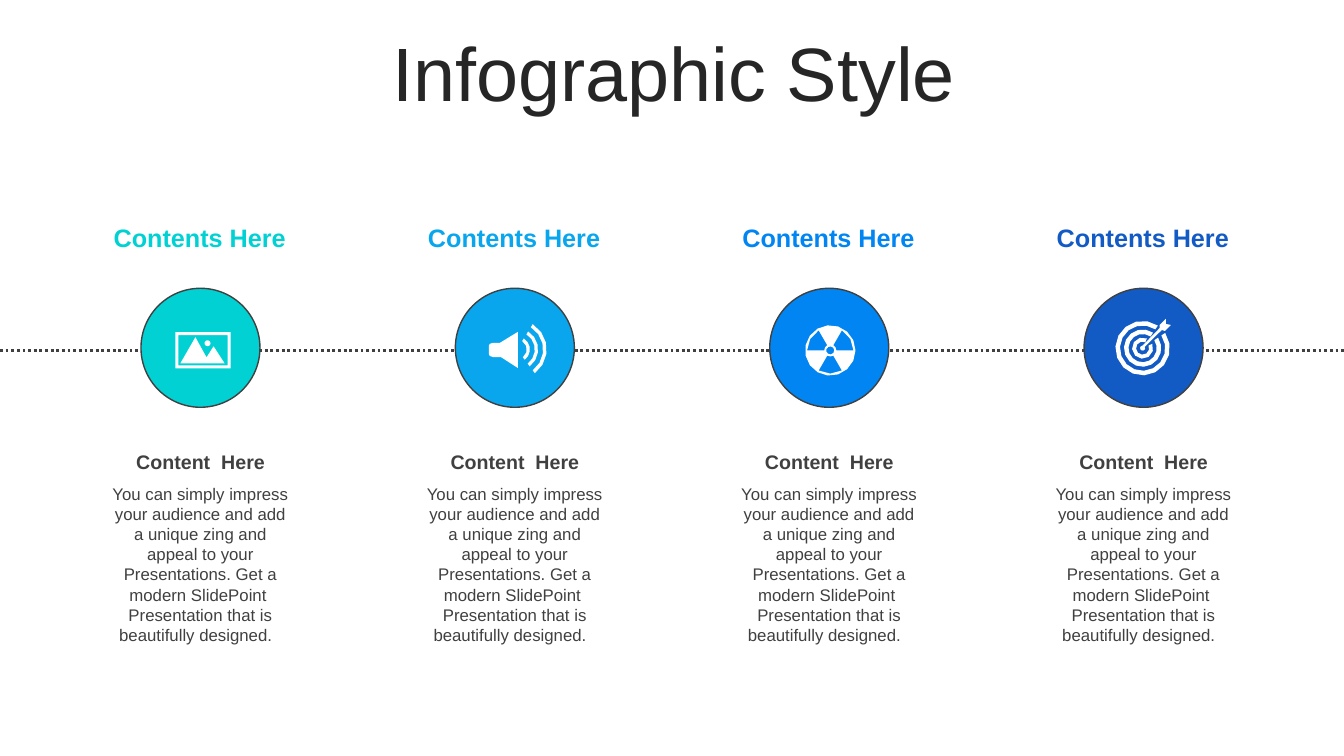
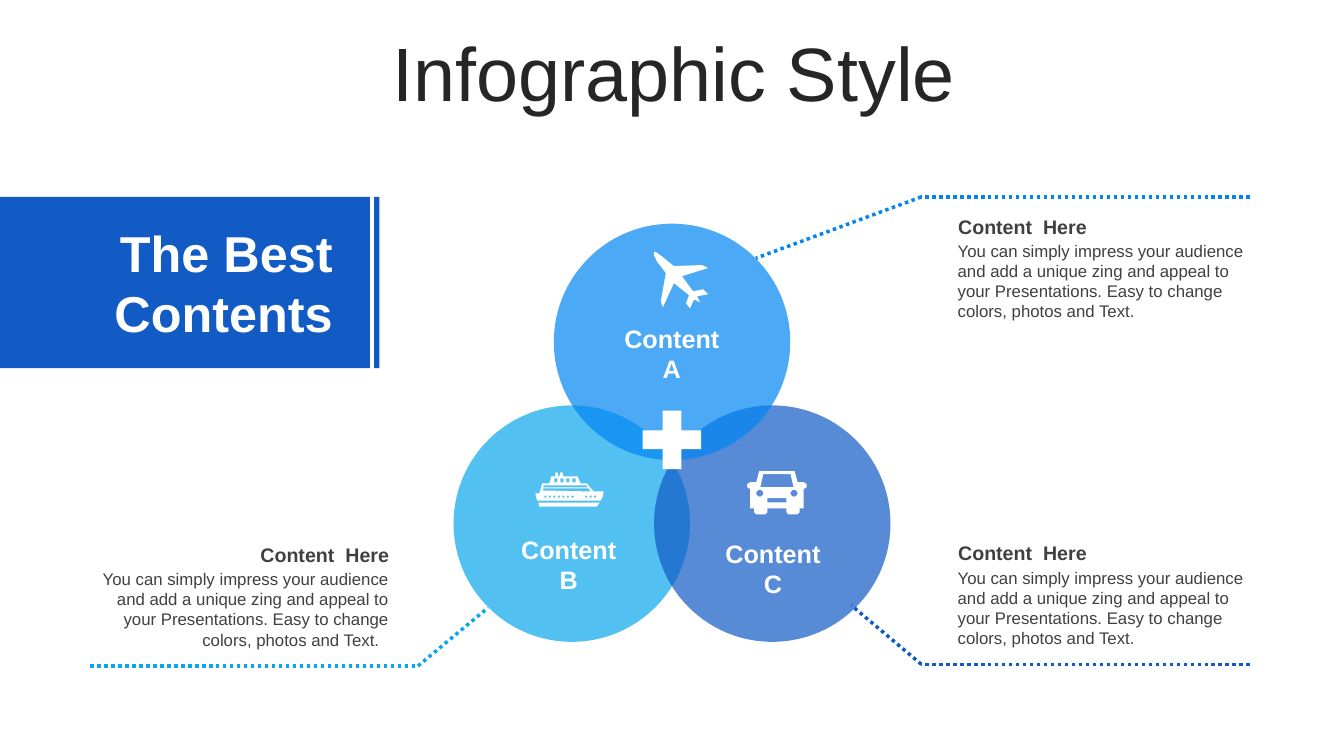
from math import cos, radians, sin

from lxml import etree
from pptx import Presentation
from pptx.dml.color import RGBColor
from pptx.enum.dml import MSO_LINE
from pptx.enum.shapes import MSO_CONNECTOR, MSO_SHAPE
from pptx.enum.text import MSO_ANCHOR, PP_ALIGN
from pptx.oxml.ns import qn
from pptx.util import Pt

LEFT, CENTER, RIGHT = PP_ALIGN.LEFT, PP_ALIGN.CENTER, PP_ALIGN.RIGHT
TOP, MIDDLE = MSO_ANCHOR.TOP, MSO_ANCHOR.MIDDLE
OVAL, RECTANGLE, PLUS = MSO_SHAPE.OVAL, MSO_SHAPE.RECTANGLE, MSO_SHAPE.MATH_PLUS
STRAIGHT, DOTTED = MSO_CONNECTOR.STRAIGHT, MSO_LINE.ROUND_DOT

TURQUOISE = RGBColor(0x01, 0xD1, 0xD3)
SKY = RGBColor(0x0A, 0xA6, 0xED)
AZURE = RGBColor(0x00, 0x85, 0xF2)
NAVY = RGBColor(0x12, 0x5A, 0xC4)
WHITE = RGBColor(0xFF, 0xFF, 0xFF)
GRAY = RGBColor(0x40, 0x40, 0x40)
TITLE_INK = RGBColor(0x26, 0x26, 0x26)

FONT = "Arial"
SLIDE_W, SLIDE_H = 960, 540
ICON_UNIT = 0.72  # points per unit of the icon outlines

SUBHEAD = "Content  Here"
STEP_TEXT = ("You can simply impress your audience and add a unique zing and appeal "
             "to your Presentations. Get a modern SlidePoint  Presentation that is "
             "beautifully designed.  ")
CALLOUT_TEXT = ("You can simply impress your audience and add a unique zing and appeal "
                "to your Presentations. Easy to change colors, photos and Text.  ")


def arc(cx, cy, radius, start, end):
    """Return points along an arc, with angles in degrees, clockwise from the right."""
    steps = max(2, round(abs(end - start) / (24 if radius > 12 else 40)))
    angles = [radians(start + (end - start) * i / steps) for i in range(steps + 1)]
    return [(cx + radius * cos(a), cy + radius * sin(a)) for a in angles]


def circle(cx, cy, radius):
    """Return the outline of a circle, without repeating its first point."""
    return arc(cx, cy, radius, 0, 360)[:-1]


def band(cx, cy, inner, outer, start, end):
    """Return the outline of a ring sector."""
    return arc(cx, cy, outer, start, end) + arc(cx, cy, inner, end, start)


def block(left, top, width, height):
    """Return the outline of a rectangle."""
    right, bottom = left + width, top + height
    return [(left, top), (right, top), (right, bottom), (left, bottom)]


def photo_icon():
    """Return a framed landscape with a sun."""
    mountains = [(20, 5), (31, 25), (38, 14), (49, 31), (5, 31)]
    return [block(0, 0, 55, 36), block(3, 3, 49, 30), mountains, circle(32, 11, 3)]


def speaker_icon():
    """Return a loudspeaker with three sound waves."""
    horn = [(29, 7), (29, 43), (12, 32), (4, 32), (1, 31), (0, 29),
            (0, 21), (1, 19), (4, 18), (11, 18)]
    waves = [(9.8, 12.8), (17.7, 21), (26, 29.5)]
    return [horn] + [band(28, 24.5, inner, outer, -58, 53) for inner, outer in waves]


def radiation_icon():
    """Return a disc with three sectors and a hub cut out."""
    sectors = [band(25, 25, 6, 23, start, start + 60) for start in (-60, 60, 180)]
    return [circle(25, 25, 25), circle(25, 25, 4)] + sectors


def target_icon():
    """Return slotted rings with an arrow in the centre."""
    rings = [(22.5, 27, 11), (14, 18.5, 11), (6.5, 10.5, 21)]
    arrow = [(50, 0), (50, 5), (55, 6), (49, 12), (46, 11), (29, 28),
             *arc(27, 29, 2.5, 0, 270), (44, 9), (44, 6)]
    return [arrow] + [band(27, 29, inner, outer, gap - 45, 315 - gap)
                      for inner, outer, gap in rings]


def plane_icon():
    """Return an airliner seen from above."""
    return [[(54, 42), (43, 44), (46, 50), (40, 47), (36, 56), (32, 51), (35, 43),
             (20, 31), (9, 55), (7, 49), (12, 21), (3.4, 9.8), (0, 3), (0, 0),
             (2, 0), (8.5, 4.8), (20, 14), (48, 13), (54, 16), (28, 24),
             (39, 39), (49, 37)]]


def car_icon():
    """Return a car seen from the front, mirrored about its middle."""
    right_half = [(47, 0), (50, 11), (56, 11), (59, 13), (59, 16), (56, 18),
                  (56, 37), (52, 37), (52, 41), (50, 43), (41, 43), (39, 41), (39, 37)]
    body = right_half + [(59 - x, y) for x, y in reversed(right_half)]
    windshield = [(16, 3), (13, 16), (46, 16), (43, 3)]
    lamps = [circle(x, 22, 3.5) for x in (12.5, 46.5)]
    return [body, windshield, block(20, 27, 19, 4)] + lamps


def ship_icon():
    """Return a cruise ship with windows and portholes."""
    body = [(25, 0), (27, 0), (28, 4), (42, 4), (45, 11), (51, 11), (58, 19), (68, 19),
            (67, 24), (65, 28), (2, 28), (0, 21), (4, 21), (7, 11), (14, 11), (16, 4),
            (20, 4), (20, 0), (22, 0), (23, 4), (24, 4)]
    keel = [(3, 30), (64, 30), (61, 34), (4, 34)]
    decks = [[(8, 16), (7, 18), (55, 19), (53, 16)],
             [(8, 13), (8, 15), (52, 15), (51, 13)]]
    windows = [block(19 + 6 * i, 6, 3, 4) for i in range(4)]
    portholes = [block(9 + 4.5 * i, 23, 2, 2) for i in (*range(7), 9, 10, 11)]
    return [body, keel] + decks + windows + portholes


def paint(shape, fill, outline=None, alpha=None):
    """Give a shape a flat fill, an optional thin outline and an opacity in percent."""
    shape.shadow.inherit = False
    shape.fill.solid()
    shape.fill.fore_color.rgb = fill
    if outline is None:
        shape.line.fill.background()
    else:
        shape.line.color.rgb = outline
        shape.line.width = Pt(1)
    if alpha is not None:
        color = shape.element.spPr.find(qn("a:solidFill")).find(qn("a:srgbClr"))
        etree.SubElement(color, qn("a:alpha")).set("val", str(alpha * 1000))


def add_form(slide, kind, left, top, width, height, fill, **look):
    """Add a painted preset shape."""
    form = slide.shapes.add_shape(kind, Pt(left), Pt(top), Pt(width), Pt(height))
    paint(form, fill, **look)


def add_icon(slide, contours, left, top):
    """Add a white icon made of closed outlines; inner outlines are holes."""
    scaled = [[(Pt(x * ICON_UNIT), Pt(y * ICON_UNIT)) for x, y in contour]
              for contour in contours]
    builder = slide.shapes.build_freeform(*scaled[0][0], scale=1.0)
    for number, contour in enumerate(scaled):
        if number:
            builder.move_to(*contour[0])
        builder.add_line_segments(contour[1:], close=True)
    paint(builder.convert_to_shape(Pt(left), Pt(top)), WHITE)


def add_text(slide, text, left, top, width, height, size=12, color=GRAY, bold=False,
             align=LEFT, anchor=TOP, spacing=None, before=None):
    """Add wrapped text, one paragraph for each line of the string."""
    frame = slide.shapes.add_textbox(Pt(left), Pt(top), Pt(width), Pt(height)).text_frame
    frame.word_wrap = True
    frame.vertical_anchor = anchor
    frame.text = text
    for paragraph in frame.paragraphs:
        paragraph.alignment = align
        paragraph.line_spacing = spacing
        paragraph.space_before = before
        font = paragraph.runs[0].font
        font.name, font.size, font.bold = FONT, Pt(size), bold
        font.color.rgb = color


def add_dotted_path(slide, points, color, width):
    """Join consecutive points with dotted lines."""
    for (x1, y1), (x2, y2) in zip(points, points[1:]):
        segment = slide.shapes.add_connector(STRAIGHT, Pt(x1), Pt(y1), Pt(x2), Pt(y2))
        segment.line.color.rgb = color
        segment.line.width = Pt(width)
        segment.line.dash_style = DOTTED
        etree.SubElement(segment.element.spPr, qn("a:effectLst"))


def new_slide(deck, title):
    """Add a blank slide with the shared title."""
    slide = deck.slides.add_slide(deck.slide_layouts[6])
    add_text(slide, title, 25.5, 26.64, 911.5, 56.88, size=54, color=TITLE_INK,
             align=CENTER, anchor=MIDDLE, spacing=0.9, before=Pt(10))
    return slide


def timeline_step(slide, left, top, color, icon, icon_dx, icon_dy):
    """Place one step: heading, circle with icon, and text below."""
    add_text(slide, "Contents Here", left, top + 0.4, 162.9, 29, size=18, color=color,
             bold=True, align=CENTER)
    add_form(slide, OVAL, left + 39.5, top + 51.1, 85, 85, color, outline=GRAY)
    add_icon(slide, icon, left + icon_dx, top + icon_dy)
    add_text(slide, SUBHEAD, left + 9.4, top + 163.4, 145.4, 24.5, size=14,
             bold=True, align=CENTER)
    add_text(slide, STEP_TEXT, left + 10.3, top + 187.1, 143.3, 124, align=CENTER)


def timeline_slide(deck):
    """Build the four steps along a dotted line."""
    slide = new_slide(deck, "Infographic Style")
    add_dotted_path(slide, [(0, 250.6), (SLIDE_W, 250.6)], GRAY, 2)
    steps = [(TURQUOISE, photo_icon(), 64, 82.5), (SKY, speaker_icon(), 63.4, 77.2),
             (AZURE, radiation_icon(), 64.8, 77.5), (NAVY, target_icon(), 61.9, 73)]
    for number, step in enumerate(steps):
        timeline_step(slide, 61.2 + 224.55 * number, 154.8, *step)


def banner(slide, left, top, width, height):
    """Place the headline block with its narrow edge stripe."""
    add_form(slide, RECTANGLE, left, top, width, height, NAVY)
    add_form(slide, RECTANGLE, left + width + 3, top, 3.8, height, NAVY)
    add_text(slide, "The Best Contents", left + 26.6, top + 14, 218.2, 94.3, size=36,
             color=WHITE, bold=True, align=RIGHT, anchor=MIDDLE)


def venn(slide, left, top, size):
    """Place three overlapping circles with labels, icons and a central plus."""
    step = 71.6
    low = top + 129.8
    for x, y, color in [(left, low, SKY), (left + 2 * step, low, NAVY),
                        (left + step, top, AZURE)]:
        add_form(slide, OVAL, x, y, size, size, color, alpha=70)
    for letter, x, y in [("B", 8.4, 217.9), ("C", 154.3, 220.7), ("A", 82.1, 67.3)]:
        add_text(slide, "Content\n" + letter, left + x, top + y, 147.6, 51, size=18,
                 color=WHITE, bold=True, align=CENTER, anchor=MIDDLE)
    add_form(slide, PLUS, left + 127.6, top + 126, 56.8, 56.8, WHITE)
    for icon, x, y in [(car_icon(), 209.7, 176.7), (ship_icon(), 58.3, 177.6),
                       (plane_icon(), 143, 20.2)]:
        add_icon(slide, icon, left + x, top + y)


def callout(slide, left, top, leader, color, align=LEFT):
    """Place a subhead with text and the dotted leader that belongs to it."""
    add_dotted_path(slide, leader, color, 2.5)
    add_text(slide, SUBHEAD, left + 0.3, top, 220.3, 24.5, size=14, bold=True,
             align=align, anchor=MIDDLE)
    add_text(slide, CALLOUT_TEXT, left, top + 18.8, 220.3, 65.5, align=align)


def venn_slide(deck):
    """Build the three-circle diagram with callouts and a banner."""
    slide = new_slide(deck, "Infographic Style")
    venn(slide, 324, 159.8, 168.9)
    callout(slide, 64.5, 384, [(64.5, 475.7), (298.6, 475.7), (348.5, 434.2)], SKY,
            align=RIGHT)
    callout(slide, 677, 149.6, [(892.8, 140.7), (658.1, 140.7), (540, 184.4)], AZURE)
    callout(slide, 677, 382.8, [(892.8, 474.5), (658.1, 474.5), (608.2, 432.5)], NAVY)
    banner(slide, 0, 140.6, 264.3, 122.4)


def main():
    """Build and save the presentation."""
    deck = Presentation()
    deck.slide_width, deck.slide_height = Pt(SLIDE_W), Pt(SLIDE_H)
    timeline_slide(deck)
    venn_slide(deck)
    deck.save("out.pptx")


main()
